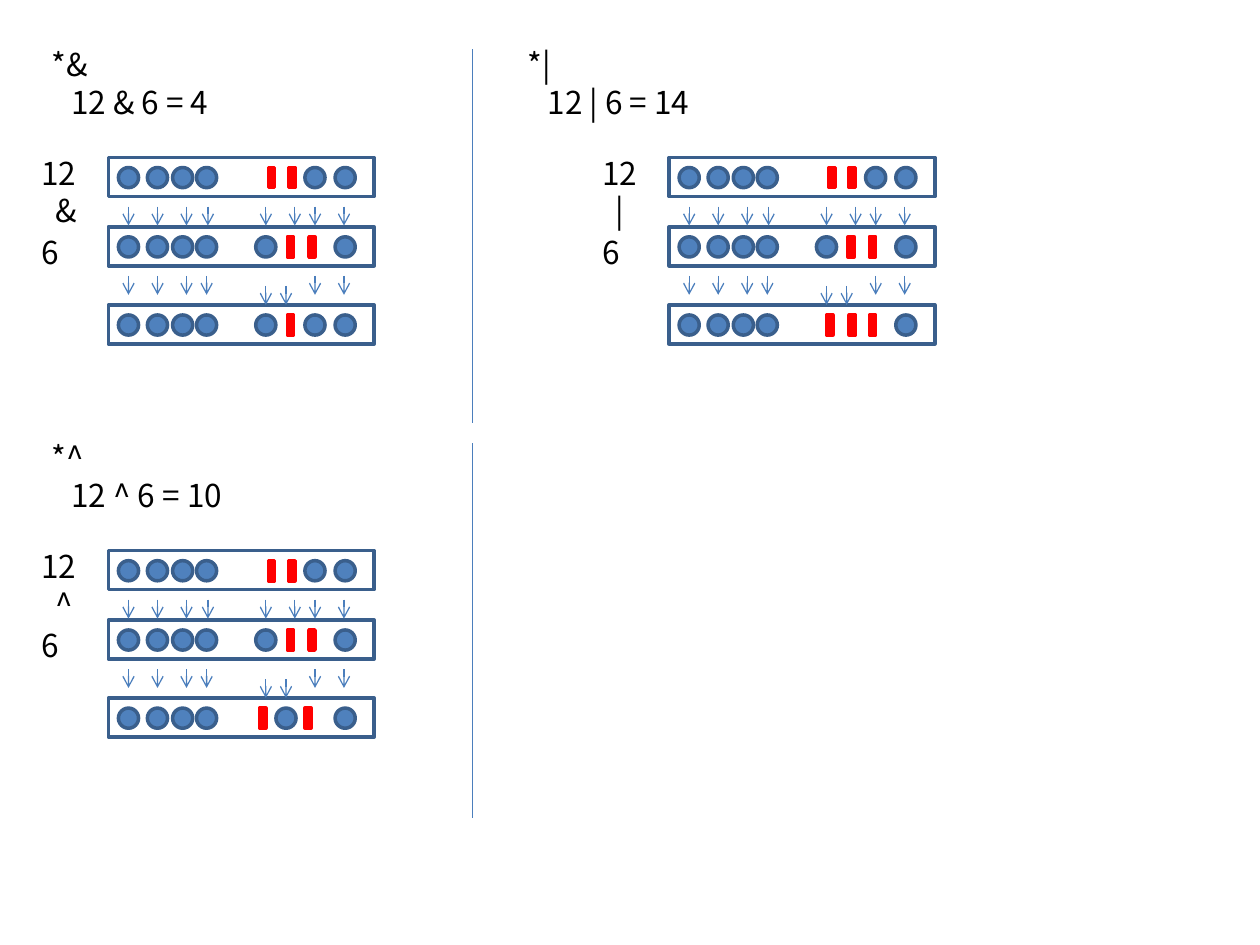
from lxml import etree
from pptx import Presentation
from pptx.dml.color import RGBColor
from pptx.enum.shapes import MSO_CONNECTOR, MSO_SHAPE
from pptx.oxml.ns import qn
from pptx.util import Inches, Pt

RECTANGLE = MSO_SHAPE.RECTANGLE
OVAL = MSO_SHAPE.OVAL
STRAIGHT = MSO_CONNECTOR.STRAIGHT

FONT = "Noto Sans CJK KR"
BLUE, DARK_BLUE, ARROW_BLUE = "4F81BD", "3A5F8C", "4B7EBC"
RED, BLACK = "FF0000", "000000"

BIT_SIZE, BAR_WIDTH = 0.16, 0.05
ROW_TOPS = (1.25, 1.8, 2.42)
HIGH_BITS = (0.94, 1.17, 1.37, 1.56)
# Each arrow is (x, top), measured in the first panel.
ARROWS = [(x, 1.64) for x in (1.02, 1.25, 1.48, 1.65, 2.11, 2.34, 2.5, 2.73)]
ARROWS += [(x, 2.19) for x in (1.02, 1.25, 1.48, 1.64, 2.5, 2.73)]
ARROWS += [(x, 2.27) for x in (2.11, 2.27)]

# The low four bits of a row: value and left edge of each bit.
TWELVE = ("1100", (2.13, 2.29, 2.42, 2.66))
SIX = ("0110", (2.03, 2.28, 2.45, 2.66))

# operator, answer, panel offset, heading left, heading width, low bits of the answer
PANELS = (
    ("&", "4", (0, 0), 0.31, 1.77, ("0100", (2.03, 2.28, 2.42, 2.66))),
    ("|", "14", (4.45, 0), 4.09, 1.76, ("1110", (2.11, 2.29, 2.45, 2.66))),
    ("^", "10", (0, 3.12), 0.31, 1.87, ("1010", (2.06, 2.19, 2.42, 2.66))),
)


def color(value):
    return RGBColor.from_string(value)


def add_box(page, kind, left, top, width, height, fill, line):
    box = page.shapes.add_shape(
        kind, Inches(left), Inches(top), Inches(width), Inches(height))
    box.shadow.inherit = False
    if fill:
        box.fill.solid()
        box.fill.fore_color.rgb = color(fill)
    else:
        box.fill.background()
    box.line.color.rgb = color(line)
    box.line.width = Pt(2)


def add_line(page, x, top, bottom, arrow=False):
    line = page.shapes.add_connector(
        STRAIGHT, Inches(x), Inches(top), Inches(x), Inches(bottom))
    line.line.color.rgb = color(ARROW_BLUE)
    line.line.width = Pt(0.75)
    if arrow:
        etree.SubElement(line.line._get_or_add_ln(), qn("a:tailEnd"), type="arrow")
    etree.SubElement(line._element.spPr, qn("a:effectLst"))


def add_text(page, left, top, width, height, lines):
    """Add a text box from (text, left indent) pairs, one paragraph each."""
    box = page.shapes.add_textbox(
        Inches(left), Inches(top), Inches(width), Inches(height))
    frame = box.text_frame
    frame.word_wrap = False
    for index, (text, indent) in enumerate(lines):
        para = frame.add_paragraph() if index else frame.paragraphs[0]
        para.text = text
        para.font.name = FONT
        para.font.size = Pt(18)
        para.font.color.rgb = color(BLACK)
        if indent:
            para._p.get_or_add_pPr().set("marL", str(Inches(indent)))


def add_bit_row(page, dx, top, low_bits):
    """Draw a framed byte: circles are zeros and red bars are ones."""
    add_box(page, RECTANGLE, 0.86 + dx, top, 2.11, 0.31, None, DARK_BLUE)
    values, lefts = low_bits
    for value, left in zip("0000" + values, HIGH_BITS + lefts):
        if value == "1":
            add_box(page, RECTANGLE, left + dx, top + 0.08, BAR_WIDTH, BIT_SIZE, RED, RED)
        else:
            add_box(page, OVAL, left + dx, top + 0.08, BIT_SIZE, BIT_SIZE, BLUE, DARK_BLUE)


def add_panel(page, operator, answer, offset, heading_left, heading_width, result):
    dx, dy = offset
    add_text(page, heading_left, 0.31 + dy, heading_width, 1.01,
             [("*" + operator, 0), (f"12 {operator} 6 = {answer}", 0.16)])
    add_text(page, 0.23 + dx, 1.17 + dy, 0.56, 0.71, [("12", 0), (operator, 0.11)])
    add_text(page, 0.23 + dx, 1.8 + dy, 0.34, 0.4, [("6", 0)])
    for top, low_bits in zip(ROW_TOPS, (TWELVE, SIX, result)):
        add_bit_row(page, dx, top + dy, low_bits)
    for x, top in ARROWS:
        add_line(page, x + dx, top + dy, top + dy + 0.15, arrow=True)


def main():
    deck = Presentation()
    deck.slide_width, deck.slide_height = Inches(10), Inches(7.5)
    page = deck.slides.add_slide(deck.slide_layouts[6])
    for panel in PANELS:
        add_panel(page, *panel)
    for top in (0.39, 3.52):
        add_line(page, 3.75, top, top + 2.97)
    deck.save("out.pptx")


if __name__ == "__main__":
    main()
